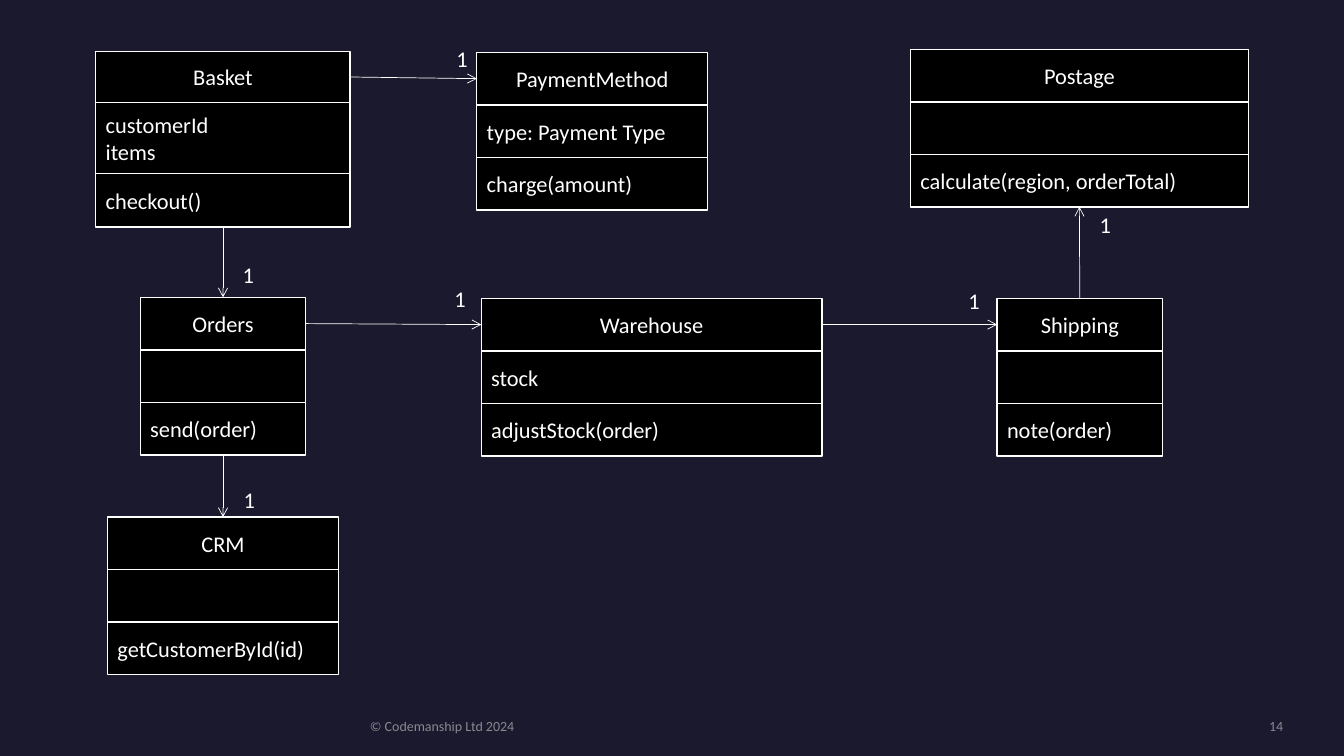
from pptx import Presentation
from pptx import util as u
from pptx.dml.color import RGBColor
from pptx.enum import shapes, text
from pptx.oxml.ns import qn
from lxml import etree

deck = Presentation()
deck.slide_width, deck.slide_height = u.Inches(13.33), u.Inches(7.5)
slide = deck.slides.add_slide(deck.slide_layouts[6])
COLUMN, ROW = deck.slide_width / 160, deck.slide_height / 90
WHITE, BLACK, NIGHT, GREY = "FFFFFF", "000000", "1B192E", "A6A6A6"
TOP, LEFT, BOTTOM, RIGHT = range(4)
ALIGN = text.PP_ALIGN


def paint(target, color):
    if hasattr(target, "solid"):
        target.solid()
        target = target.fore_color
    target.rgb = RGBColor.from_string(color)


def write(frame, words, size, color, align):
    frame.text = words
    for paragraph in frame.paragraphs:
        paragraph.alignment = align
        paragraph.font.size = u.Pt(size)
        paragraph.font.name = "Calibri"
        paint(paragraph.font.color, color)


paint(slide.background.fill, NIGHT)

footer = [
    ("© Codemanship Ltd 2024", 44.04, 83.76, ALIGN.LEFT),
    ("14", 130.56, 22.2, ALIGN.RIGHT),
]
for words, x, width, align in footer:
    note = slide.shapes.add_textbox(
        int(x * COLUMN), int(85.44 * ROW), int(width * COLUMN), int(2.04 * ROW))
    frame = note.text_frame
    frame.word_wrap = True
    frame.vertical_anchor = text.MSO_ANCHOR.MIDDLE
    frame.margin_left = frame.margin_right = frame.margin_top = frame.margin_bottom = 0
    write(frame, words, 10, GREY, align)
    for tint in note.element.iter(qn("a:srgbClr")):
        etree.SubElement(tint, qn("a:alpha"), val="80000")

EVEN = (6.25, 6.25, 6.25)
classes = [
    ("Basket", "customerId\nitems", "checkout()", 11.4, 6.12, 30.3, (6.1, 8.45, 6.35)),
    ("PaymentMethod", "type: Payment Type", "charge(amount)", 56.76, 6.24, 27.5, EVEN),
    ("Orders", "", "send(order)", 16.7, 35.4, 19.7, EVEN),
    ("Warehouse", "stock", "adjustStock(order)", 57.3, 35.52, 40.55, EVEN),
    ("Shipping", "", "note(order)", 118.7, 35.52, 19.7, EVEN),
    ("Postage", "", "calculate(region, orderTotal)", 108.4, 5.88, 40.2, EVEN),
    ("CRM", "", "getCustomerById(id)", 12.8, 61.56, 27.5, EVEN),
]
compartments = {}
for name, fields, methods, x, y, width, heights in classes:
    compartments[name] = []
    aligns = (ALIGN.CENTER, ALIGN.LEFT, ALIGN.LEFT)
    for words, height, align in zip((name, fields, methods), heights, aligns):
        compartment = slide.shapes.add_shape(
            shapes.MSO_SHAPE.RECTANGLE,
            int(x * COLUMN), int(y * ROW), int(width * COLUMN), int(height * ROW))
        compartment.shadow.inherit = False
        paint(compartment.fill, BLACK)
        paint(compartment.line.fill, WHITE)
        compartment.line.width = u.Pt(1)
        compartment.text_frame.vertical_anchor = text.MSO_ANCHOR.MIDDLE
        if words:
            write(compartment.text_frame, words, 16, WHITE, align)
        compartments[name].append(compartment)
        y += height

HEADER, METHODS = 0, 2
associations = [
    ("Basket", HEADER, RIGHT, "PaymentMethod", HEADER, LEFT, 53.16, 4.8),
    ("Basket", METHODS, BOTTOM, "Orders", HEADER, TOP, 27.72, 30.48),
    ("Orders", HEADER, RIGHT, "Warehouse", HEADER, LEFT, 52.92, 33.36),
    ("Warehouse", HEADER, RIGHT, "Shipping", HEADER, LEFT, 114.12, 33.6),
    ("Shipping", HEADER, TOP, "Postage", METHODS, BOTTOM, 129.72, 24.6),
    ("Orders", METHODS, BOTTOM, "CRM", HEADER, TOP, 27.84, 57.24),
]
for owner, owner_part, exit_side, target, target_part, entry_side, x, y in associations:
    arrow = slide.shapes.add_connector(shapes.MSO_CONNECTOR.STRAIGHT, 0, 0, 0, 0)
    arrow.begin_connect(compartments[owner][owner_part], exit_side)
    arrow.end_connect(compartments[target][target_part], entry_side)
    paint(arrow.line.fill, WHITE)
    arrow.line.width = u.Pt(0.5)
    etree.SubElement(arrow.line.fill._xPr, qn("a:tailEnd"), type="arrow")
    etree.SubElement(arrow.element.spPr, qn("a:effectLst"))

    multiplicity = slide.shapes.add_textbox(
        int(x * COLUMN), int(y * ROW), int(3.6 * COLUMN), int(3.96 * ROW))
    multiplicity.text_frame.word_wrap = False
    multiplicity.text_frame.auto_size = text.MSO_AUTO_SIZE.SHAPE_TO_FIT_TEXT
    write(multiplicity.text_frame, "1", 16, WHITE, ALIGN.LEFT)

deck.save("out.pptx")
